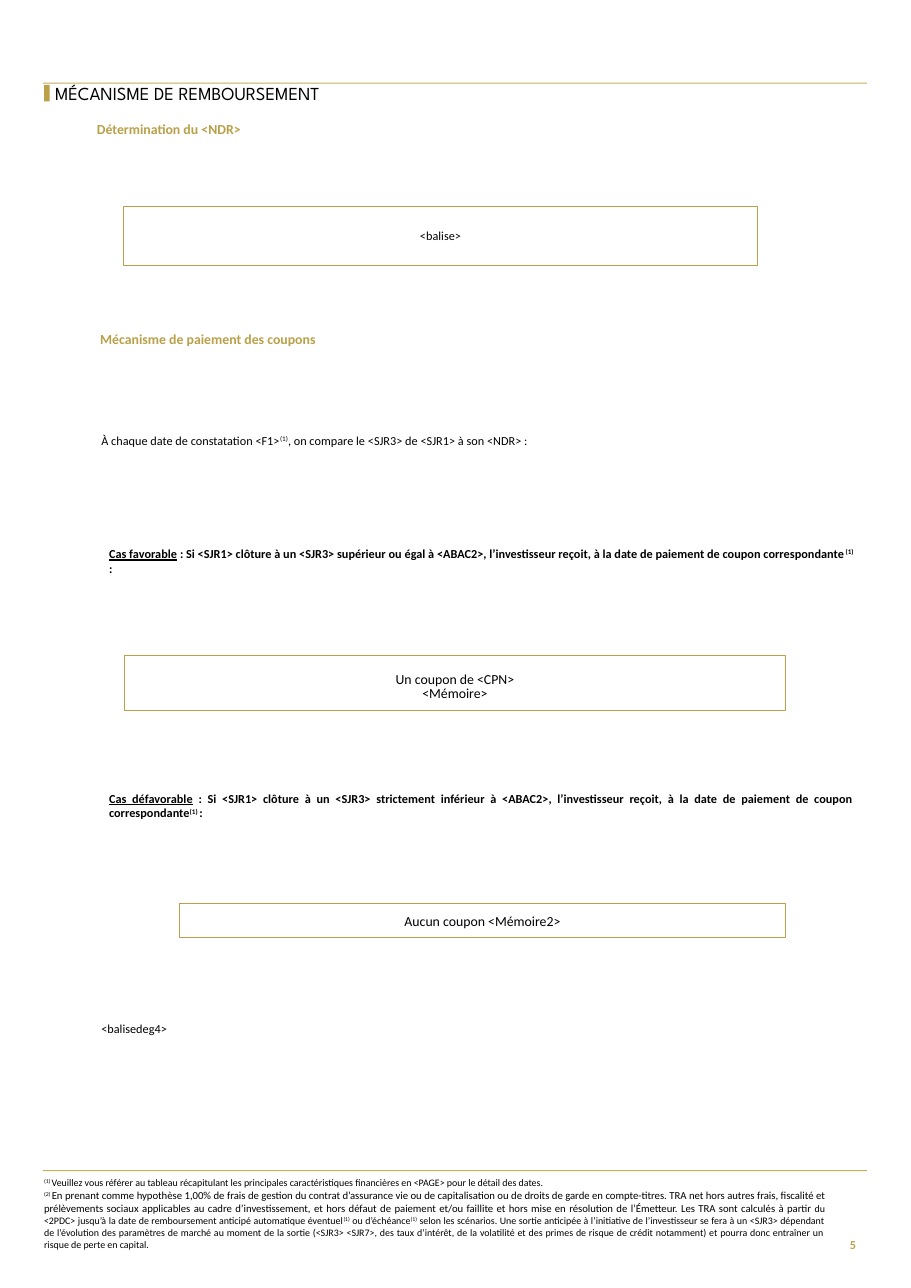
from pptx import Presentation
from pptx.dml.color import RGBColor
from pptx.enum.shapes import MSO_SHAPE as Shape
from pptx.enum.text import MSO_ANCHOR as Anchor, MSO_AUTO_SIZE as AutoSize, PP_ALIGN as Align
from pptx.util import Inches, Pt

# ---- Content: a string, or (string, style) with style "sup", "under" or a point size
COLORS = {"gold": "B9A049", "rule": "C5AF5C", "black": "000000", "white": "FFFFFF"}
REF = ("(1)", "sup")
REF_SPACE = ("(1) ", "sup")
TITLE = "MÉCANISME DE REMBOURSEMENT"
PAGE_NUMBER = "5"

# left, top, width, text
HEADINGS = [
    (0.68, 1.1, 3.17, "Détermination du <NDR>"),
    (0.71, 3, 6.77, "Mécanisme de paiement des coupons"),
]

# left, top, width, height, bold, spans
STATEMENTS = [
    (0.92, 3.93, 6.57, 0.13, False, [
        "À chaque date de constatation <F1>", REF,
        ", on compare le <SJR3> de <SJR1> à son <NDR> :"]),
    (0.99, 4.96, 6.76, 0.27, True, [
        ("Cas favorable", "under"),
        " : Si <SJR1> clôture à un <SJR3> supérieur ou égal à <ABAC2>, l’investisseur reçoit, "
        "à la date de paiement de coupon correspondante", REF_SPACE, ": "]),
    (0.99, 7.18, 6.76, 0.27, True, [
        ("Cas défavorable", "under"),
        " : Si <SJR1> clôture à un <SJR3> strictement inférieur à <ABAC2>, l’investisseur reçoit, "
        "à la date de paiement de coupon correspondante", REF_SPACE, ": "]),
    (0.92, 9.27, 6.76, 0.13, False, ["<balisedeg4>"]),
]

# left, top, width, height, top inset, bottom inset, line width, fill, size, spacing, lines
FRAMES = [
    (1.12, 1.87, 5.76, 0.54, 0.2, 0.2, 0.5, None, 8, None, ["<balise>"]),
    (1.13, 5.95, 6, 0.5, 0.15, 0.08, 0.75, "white", 9, 0.9,
     ["Un coupon de <CPN>", "<Mémoire>"]),
    (1.63, 8.2, 5.5, 0.31, 0.08, 0.08, 0.75, "white", 9, None, ["Aucun coupon <Mémoire2>"]),
]

FOOTNOTES = [
    [REF_SPACE,
     "Veuillez vous référer au tableau récapitulant les principales caractéristiques "
     "financières en <PAGE> pour le détail des dates. "],
    [("(2) ", "sup"),
     ("En prenant comme hypothèse 1,00% de frais de gestion du contrat d’assurance vie ou de "
      "capitalisation ou de droits de garde en compte-titres. TRA net hors autres frais, "
      "fiscalité et prélèvements sociaux applicables au cadre d’investissement, et hors défaut "
      "de paiement et/ou faillite et hors mise en résolution de l’Émetteur. Les TRA sont "
      "calculés à partir ", 7),
     "du <2PDC> jusqu’à la date de remboursement anticipé automatique éventuel", REF,
     " ou d’échéance", REF,
     " selon les scénarios. Une sortie anticipée à l’initiative de l’investisseur se fera à un "
     "<SJR3> dépendant de l’évolution des paramètres de marché au moment de la sortie "
     "(<SJR3> <SJR7>, des taux d’intérêt, de la volatilité et des primes de risque de crédit "
     "notamment) et pourra donc entraîner un risque de perte en capital."],
]

# ---- Page
deck = Presentation()
deck.slide_width, deck.slide_height = Inches(8.27), Inches(11.69)
page = deck.slides.add_slide(deck.slide_layouts[6])


def rgb(name):
    return RGBColor.from_string(COLORS[name])


def write(shape, paragraphs, size=8, color="black", font="Calibri", bold=False, align=None,
          anchor=Anchor.TOP, insets=(0, 0, 0, 0), spacing=None, grow=False):
    """Fill a shape with paragraphs, each a list of spans; insets are left, top, right, bottom."""
    frame = shape.text_frame
    frame.word_wrap = True
    frame.auto_size = AutoSize.SHAPE_TO_FIT_TEXT if grow else AutoSize.NONE
    frame.vertical_anchor = anchor
    (frame.margin_left, frame.margin_top,
     frame.margin_right, frame.margin_bottom) = map(Inches, insets)
    for index, spans in enumerate(paragraphs):
        para = frame.add_paragraph() if index else frame.paragraphs[0]
        para.alignment = align
        para.line_spacing = spacing
        for item in spans:
            text, style = item if isinstance(item, tuple) else (item, None)
            span = para.add_run()
            span.text = text
            span.font.name = font
            span.font.size = Pt(style if isinstance(style, int) else size)
            span.font.bold = bold
            span.font.underline = style == "under"
            span.font.color.rgb = rgb(color)
            if style == "sup":
                span.font._element.set("baseline", "30000")


def textbox(*place):
    return page.shapes.add_textbox(*map(Inches, place))


def rectangle(*place, fill=None, line_width=None):
    box = page.shapes.add_shape(Shape.RECTANGLE, *map(Inches, place))
    box.shadow.inherit = False
    if fill:
        box.fill.solid()
        box.fill.fore_color.rgb = rgb(fill)
    else:
        box.fill.background()
    if line_width:
        box.line.color.rgb = rgb("gold")
        box.line.width = Pt(line_width)
    else:
        box.line.fill.background()
    return box


# ---- Rules, title and its marker
for top in (0.75, 10.62):
    rectangle(0.39, top, 7.48, 0.01, fill="rule")
rectangle(0.4, 0.77, 0.05, 0.15, fill="gold")
write(textbox(0.5, 0.73, 4.21, 0.25), [[TITLE]], size=12, font="League Spartan",
      anchor=Anchor.MIDDLE, spacing=0.9)

# ---- Headings and statements
for left, top, width, heading in HEADINGS:
    write(textbox(left, top, width, 0.18), [[heading]], size=9, color="gold", bold=True,
          insets=(0.2, 0, 0, 0))
for *place, bold, spans in STATEMENTS:
    write(textbox(*place), [spans], bold=bold, align=Align.JUSTIFY, grow=True)

# ---- Framed outcomes
for *place, inset_top, inset_bottom, line_width, fill, size, spacing, lines in FRAMES:
    write(rectangle(*place, fill=fill, line_width=line_width), [[line] for line in lines],
          size=size, align=Align.CENTER, anchor=Anchor.MIDDLE, spacing=spacing, grow=True,
          insets=(0.12, inset_top, 0.12, inset_bottom))

# ---- Footnotes and page number
write(textbox(0.4, 10.68, 7.09, 0.68), FOOTNOTES, size=6.5, align=Align.JUSTIFY, grow=True)
write(textbox(7.48, 11.09, 0.39, 0.42), [[PAGE_NUMBER]], color="gold", bold=True,
      align=Align.RIGHT, anchor=Anchor.MIDDLE, insets=(0.1, 0.05, 0.1, 0.05))

deck.save("out.pptx")
